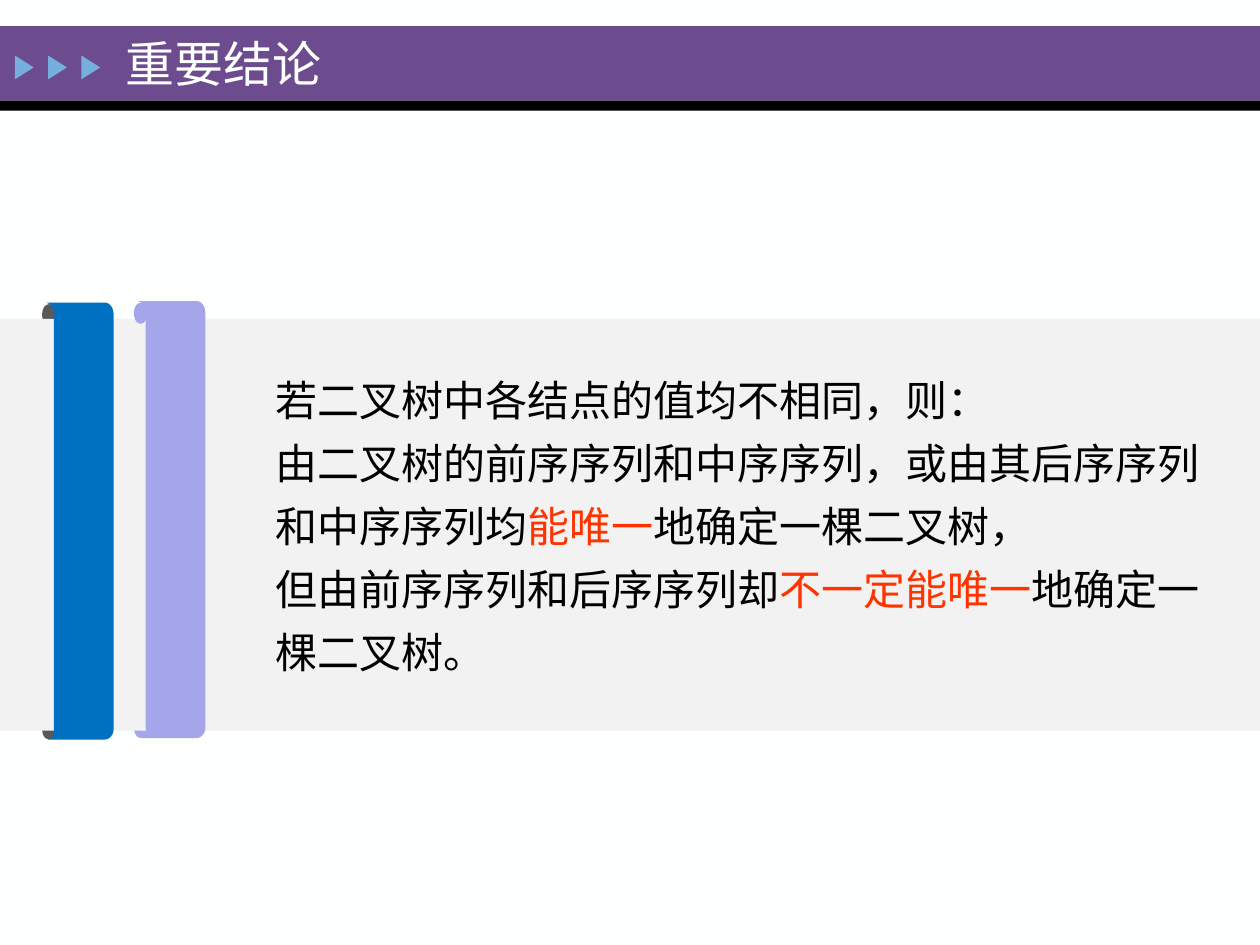
from pptx import Presentation
from pptx.dml.color import RGBColor
from pptx.enum.shapes import MSO_SHAPE
from pptx.enum.text import MSO_ANCHOR
from pptx.util import Cm, Pt

WHITE, BLACK, RED = "FEFFFF", "000000", "FF3300"
PURPLE, SKY, PALE = "6C4C8F", "76AEDD", "F2F2F2"
BLUE, GREY, LILAC = "0070C0", "595959", "A5A5E9"

# Ribbon outline in cm from its corner: a point is a line, three points are a curve.
RIBBON_START = (0.15, 0.3)
RIBBON_STEPS = [
    [(0.23, 0), (-0.1, 0), (0.03, 0)],
    [(1.17, 0)],
    [(1.27, 0), (1.35, 0.1), (1.35, 0.23)],
    [(1.35, 8.61)],
    [(1.35, 8.71), (1.27, 8.81), (1.17, 8.81)],
    [(0.05, 8.81)],
    [(-0.05, 8.81), (0.18, 8.84), (0.15, 8.61)],
]

CONCLUSIONS = [
    [("若二叉树中各结点的值均不相同，则：", BLACK)],
    [("由二叉树的前序序列和中序序列，或由其后序序列和中序序列均", BLACK),
     ("能唯一", RED), ("地确定一棵二叉树，", BLACK)],
    [("但由前序序列和后序序列却", BLACK),
     ("不一定能唯一", RED), ("地确定一棵二叉树。", BLACK)],
]


def color(hex_text):
    return RGBColor.from_string(hex_text)


def curve_points(start, controls, count=10):
    """Sample a cubic Bézier curve, leaving out its start."""
    points = []
    for index in range(1, count + 1):
        t = index / count
        weights = ((1 - t) ** 3, 3 * t * (1 - t) ** 2, 3 * t * t * (1 - t), t ** 3)
        corners = [start, *controls]
        points.append(tuple(sum(w * corner[axis] for w, corner in zip(weights, corners))
                            for axis in (0, 1)))
    return points


def ribbon_points():
    points = [RIBBON_START]
    for step in RIBBON_STEPS:
        points += step if len(step) == 1 else curve_points(points[-1], step)
    return points


class SlideBuilder:
    font_name = "Times New Roman"

    def __init__(self, slide):
        self.slide = slide
        self.slide.background.fill.solid()
        self.slide.background.fill.fore_color.rgb = color(WHITE)

    def paint(self, shape, fill):
        shape.shadow.inherit = False
        shape.fill.solid()
        shape.fill.fore_color.rgb = color(fill)
        shape.line.fill.background()

    def shape(self, kind, left, top, width, height, fill, rotation=0):
        shape = self.slide.shapes.add_shape(kind, Cm(left), Cm(top), Cm(width), Cm(height))
        shape.rotation = rotation
        self.paint(shape, fill)

    def ribbon(self, left, top, fill):
        start, *others = [(Cm(left + x), Cm(top + y)) for x, y in ribbon_points()]
        builder = self.slide.shapes.build_freeform(*start)
        builder.add_line_segments(others, close=True)
        self.paint(builder.convert_to_shape(), fill)

    def text(self, left, top, width, height, paragraphs, size, line_spacing=1.0):
        box = self.slide.shapes.add_textbox(Cm(left), Cm(top), Cm(width), Cm(height))
        frame = box.text_frame
        frame.word_wrap = True
        frame.vertical_anchor = MSO_ANCHOR.MIDDLE
        for index, pieces in enumerate(paragraphs):
            paragraph = frame.add_paragraph() if index else frame.paragraphs[0]
            paragraph.line_spacing = line_spacing
            for piece, piece_color in pieces:
                run = paragraph.add_run()
                run.text = piece
                run.font.name = self.font_name
                run.font.size = Pt(size)
                run.font.color.rgb = color(piece_color)


def main():
    presentation = Presentation()
    presentation.slide_width, presentation.slide_height = Cm(25.4), Cm(19.05)
    builder = SlideBuilder(presentation.slides.add_slide(presentation.slide_layouts[6]))

    builder.shape(MSO_SHAPE.RECTANGLE, 0, 0.53, 25.4, 1.5, PURPLE)
    builder.shape(MSO_SHAPE.RECTANGLE, 0, 2.03, 25.4, 0.2, BLACK)
    for index in range(3):
        builder.shape(MSO_SHAPE.ISOSCELES_TRIANGLE, 0.25 + 0.67 * index, 1.17,
                      0.48, 0.38, SKY, rotation=90)
    builder.text(2.29, 0.56, 10.06, 1.42, [[("重要结论", WHITE)]], 28)

    blue_left, blue_top = 0.94, 6.1
    lilac_left, lilac_top = 2.79, 6.07

    def curl(left, top, fill):
        builder.shape(MSO_SHAPE.OVAL, left - 0.09, top, 0.27, 0.43, fill)

    # The gray band hides part of the curls drawn before it.
    curl(lilac_left, lilac_top + 8.38, LILAC)
    curl(blue_left, blue_top + 8.38, GREY)
    curl(blue_left, blue_top + 0.03, GREY)
    builder.shape(MSO_SHAPE.RECTANGLE, 0, 6.43, 25.4, 8.3, PALE)
    builder.ribbon(blue_left, blue_top, BLUE)
    curl(lilac_left, lilac_top + 0.03, LILAC)
    builder.ribbon(lilac_left, lilac_top, LILAC)

    builder.text(5.31, 7.04, 19.61, 6.88, CONCLUSIONS, 24, line_spacing=1.25)
    presentation.save("out.pptx")


if __name__ == "__main__":
    main()
